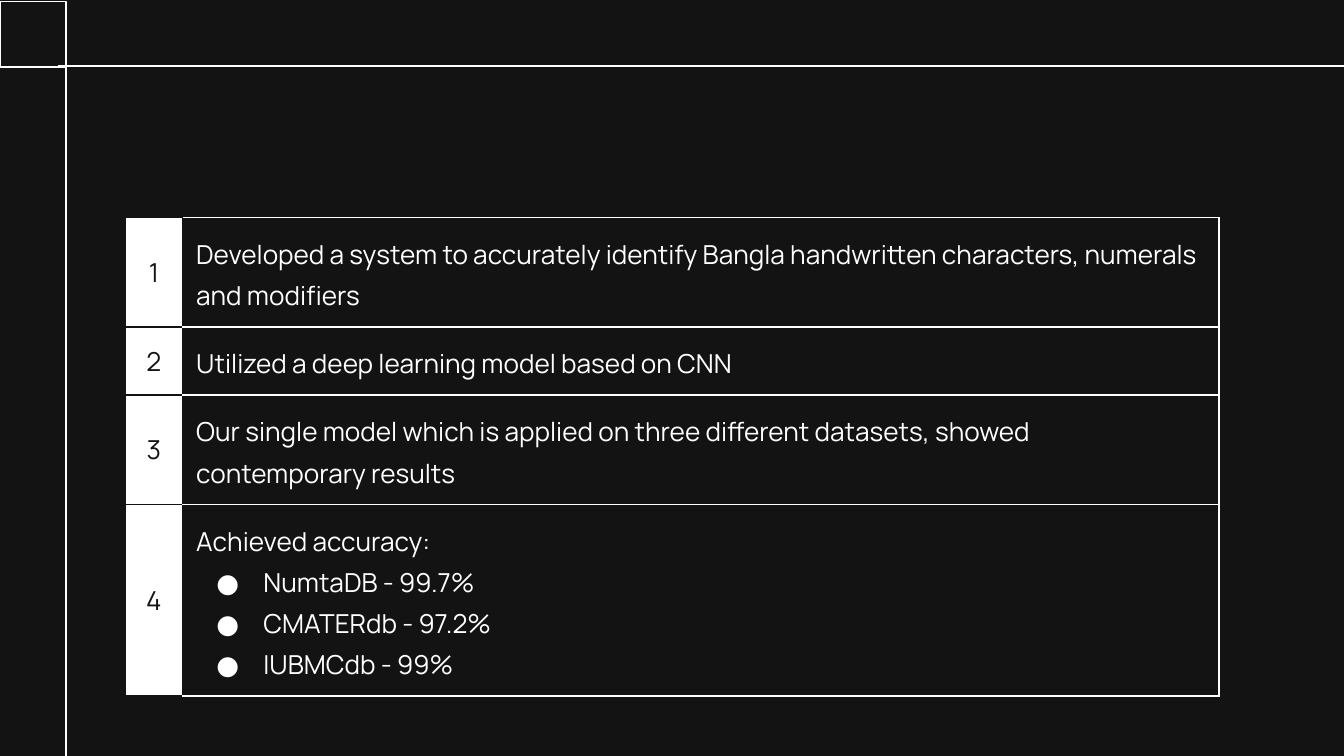
from lxml import etree
from pptx import Presentation
from pptx.dml.color import RGBColor
from pptx.enum.shapes import MSO_CONNECTOR, MSO_SHAPE
from pptx.enum.text import MSO_ANCHOR, PP_ALIGN
from pptx.oxml.ns import qn
from pptx.util import Inches, Pt

# Content: each finding is a statement and its bullets
FINDINGS = [
    ("Developed a system to accurately identify Bangla handwritten characters, "
     "numerals and modifiers", []),
    ("Utilized a deep learning model based on CNN", []),
    ("Our single model which is applied on three different datasets, "
     "showed contemporary results", []),
    ("Achieved accuracy:",
     ["NumtaDB - 99.7%", "CMATERdb - 97.2%", "IUBMCdb - 99%"]),
]

# Style and layout
DARK = RGBColor(0x13, 0x13, 0x13)
WHITE = RGBColor(0xFF, 0xFF, 0xFF)
FONT = "Manrope"
SIZE = Pt(14)
RULE = Pt(0.75)
SLIDE_W = 10
SLIDE_H = SLIDE_W * 9 / 16
CORNER = 0.49
COL_WIDTHS = [0.43, 7.71]
ROW_HEIGHTS = [0.64, 0.42, 0.64, 0.47]  # minimums: rows grow with their text
MARGIN = Inches(0.1)
CENTER = PP_ALIGN.CENTER
MIDDLE, TOP = MSO_ANCHOR.MIDDLE, MSO_ANCHOR.TOP
STRAIGHT = MSO_CONNECTOR.STRAIGHT
RECTANGLE = MSO_SHAPE.RECTANGLE


def add_rule(shapes, x1, y1, x2, y2):
    line = shapes.add_connector(STRAIGHT, *map(Inches, (x1, y1, x2, y2)))
    line.line.color.rgb = WHITE
    line.line.width = RULE
    etree.SubElement(line._element.spPr, qn("a:effectLst"))


def set_borders(cell, left, right, top, bottom):
    tc_pr = cell._tc.get_or_add_tcPr()
    sides = zip("LRTB", (left, right, top, bottom))
    for i, (side, color) in enumerate(sides):
        ln = etree.Element(qn(f"a:ln{side}"), w=str(RULE))
        fill = etree.SubElement(ln, qn("a:solidFill"))
        etree.SubElement(fill, qn("a:srgbClr"), val=str(color))
        tc_pr.insert(i, ln)


def set_bullet(p):
    p_pr = p._p.get_or_add_pPr()
    p_pr.set("marL", str(Inches(0.5)))
    p_pr.set("indent", str(Inches(-0.35)))
    color = etree.SubElement(p_pr, qn("a:buClr"))
    etree.SubElement(color, qn("a:srgbClr"), val=str(WHITE))
    etree.SubElement(p_pr, qn("a:buFont"), typeface=FONT)
    etree.SubElement(p_pr, qn("a:buChar"), char="●")


def style_cell(cell, color, anchor):
    cell.vertical_anchor = anchor
    cell.margin_left = cell.margin_right = MARGIN
    cell.margin_top = cell.margin_bottom = MARGIN
    for p in cell.text_frame.paragraphs:
        for r in p.runs:
            r.font.name = FONT
            r.font.size = SIZE
            r.font.color.rgb = color


prs = Presentation()
prs.slide_width, prs.slide_height = Inches(SLIDE_W), Inches(SLIDE_H)
s = prs.slides.add_slide(prs.slide_layouts[6])
s.background.fill.solid()
s.background.fill.fore_color.rgb = DARK

# Corner square and frame lines
sp = s.shapes.add_shape(RECTANGLE, 0, Inches(0.01), Inches(CORNER), Inches(CORNER))
sp.shadow.inherit = False
sp.fill.background()
sp.line.color.rgb = WHITE
sp.line.width = RULE
add_rule(s.shapes, 0.43, CORNER, SLIDE_W, CORNER)
add_rule(s.shapes, CORNER, 0.33, CORNER, SLIDE_H)

# Findings table
table = s.shapes.add_table(
    len(FINDINGS), len(COL_WIDTHS), Inches(0.93), Inches(1.62),
    Inches(sum(COL_WIDTHS)), Inches(sum(ROW_HEIGHTS))).table
table.first_row = table.horz_banding = False
for col, width in zip(table.columns, COL_WIDTHS):
    col.width = Inches(width)
for row, height in zip(table.rows, ROW_HEIGHTS):
    row.height = Inches(height)

for i, (statement, bullets) in enumerate(FINDINGS):
    number, body = table.cell(i, 0), table.cell(i, 1)

    number.text_frame.text = str(i + 1)
    number.text_frame.paragraphs[0].alignment = CENTER
    style_cell(number, DARK, MIDDLE)
    number.fill.solid()
    number.fill.fore_color.rgb = WHITE
    set_borders(number, DARK, DARK, DARK, DARK)

    tf = body.text_frame
    tf.text = "\n".join([statement] + bullets)
    for j, p in enumerate(tf.paragraphs):
        p.line_spacing = 1.15
        if j:
            set_bullet(p)
    style_cell(body, WHITE, TOP)
    body.fill.background()
    set_borders(body, DARK, WHITE, WHITE, WHITE)

prs.save("out.pptx")
